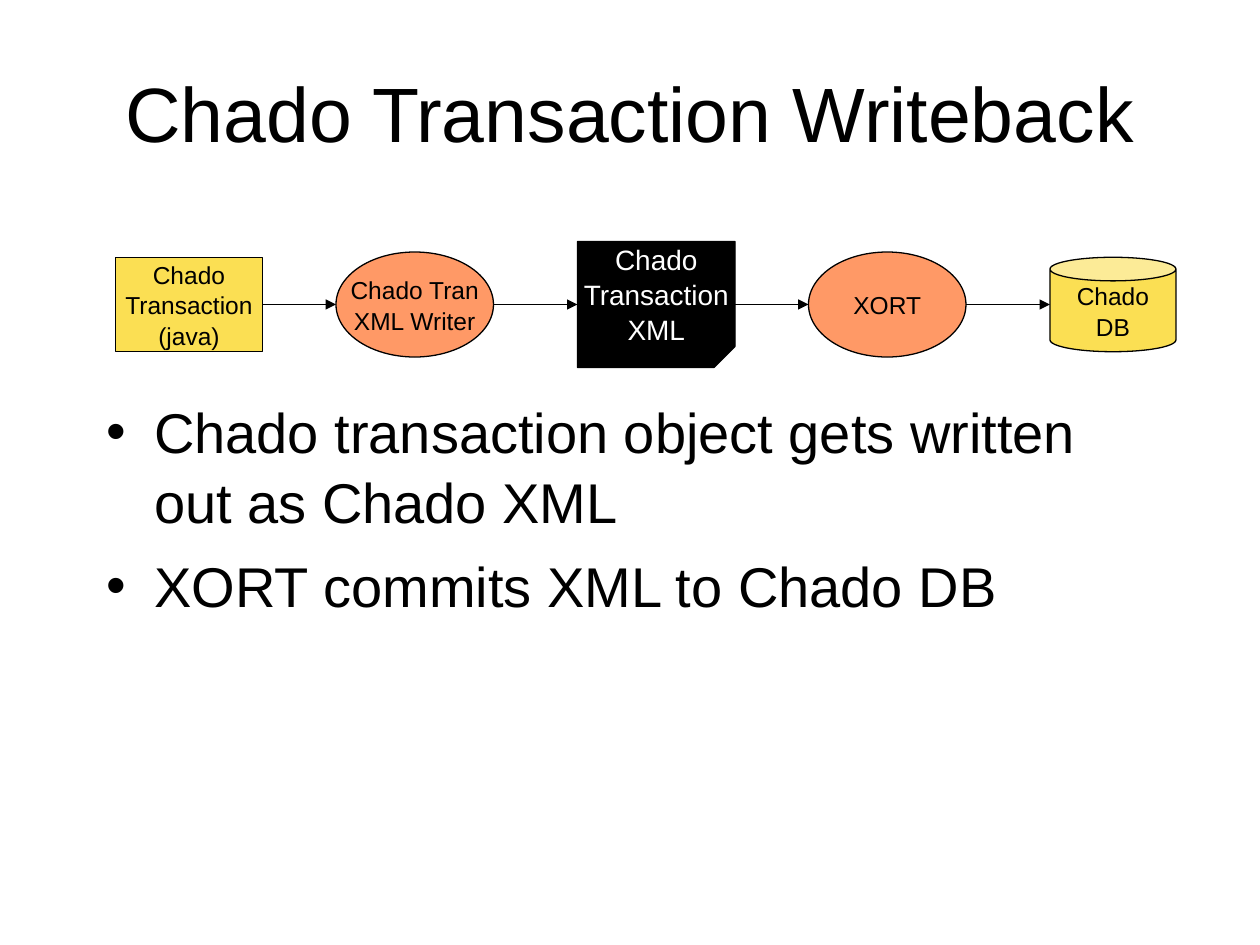
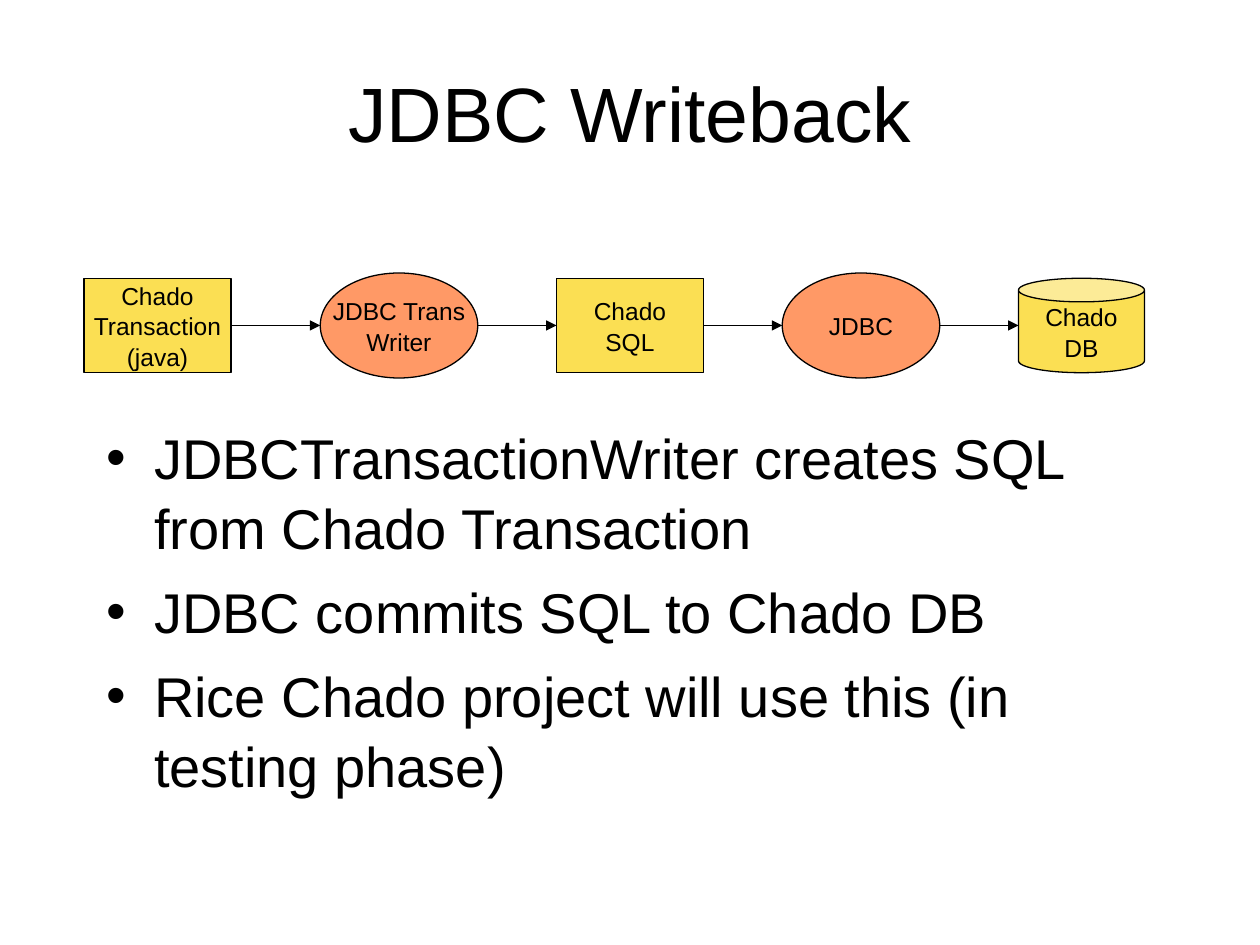
"""Build two slides that show how Chado transactions are written back to the database."""
from lxml import etree
from pptx import Presentation
from pptx import util as u
from pptx.dml.color import RGBColor
from pptx.enum import shapes, text
from pptx.oxml.ns import qn

FONT = "Arial"
BLACK, WHITE, YELLOW, ORANGE = "000000", "FFFFFF", "FBDF53", "FF9966"
LINE_SPACING = 1.04

prs = Presentation()
prs.slide_width, prs.slide_height = u.Inches(10), u.Inches(7.5)
UNIT = prs.slide_width // 240


def color(value):
    return RGBColor.from_string(value)


def format_text(tf, size, ink, align):
    for p in tf.paragraphs:
        p.alignment = align
        p.line_spacing = LINE_SPACING
        for r in p.runs:
            r.font.name, r.font.size = FONT, u.Pt(size)
            r.font.color.rgb = color(ink)


# Each kind: preset shape, width and height in grid units, fill, text colour, text size
KINDS = {
    "data": (shapes.MSO_SHAPE.RECTANGLE, 28, 18, YELLOW, BLACK, 14),
    "process": (shapes.MSO_SHAPE.OVAL, 30, 20, ORANGE, BLACK, 14),
    "document": (shapes.MSO_SHAPE.FOLDED_CORNER, 30, 24, BLACK, WHITE, 16),
    "database": (shapes.MSO_SHAPE.CAN, 24, 18, YELLOW, BLACK, 14),
}

# Each slide: title, flow axis row, bullet top row, flow steps (kind, column, label), bullets
SLIDES = [
    ("Chado Transaction Writeback", 58, 74,
     [("data", 22, "Chado\nTransaction\n(java)"),
      ("process", 64, "Chado Tran\nXML Writer"),
      ("document", 110, "Chado\nTransaction\nXML"),
      ("process", 154, "XORT"),
      ("database", 200, "Chado\nDB")],
     ["Chado transaction object gets written out as Chado XML",
      "XORT commits XML to Chado DB"]),
    ("JDBC Writeback", 62, 79,
     [("data", 16, "Chado\nTransaction\n(java)"),
      ("process", 61, "JDBC Trans\nWriter"),
      ("data", 106, "Chado\nSQL"),
      ("process", 149, "JDBC"),
      ("database", 194, "Chado\nDB")],
     ["JDBCTransactionWriter creates SQL from Chado Transaction",
      "JDBC commits SQL to Chado DB",
      "Rice Chado project will use this (in testing phase)"]),
]

for title, axis, bullet_top, steps, bullets in SLIDES:
    s = prs.slides.add_slide(prs.slide_layouts[5])
    sp = s.shapes.title
    sp.left, sp.top, sp.width, sp.height = (n * UNIT for n in (18, 6, 204, 30))
    tf = sp.text_frame
    tf.text = title
    tf.auto_size = text.MSO_AUTO_SIZE.NONE
    tf.vertical_anchor = text.MSO_ANCHOR.MIDDLE
    format_text(tf, 44, BLACK, text.PP_ALIGN.CENTER)

    sp = s.shapes.add_textbox(18 * UNIT, bullet_top * UNIT, 204 * UNIT, (172 - bullet_top) * UNIT)
    tf = sp.text_frame
    tf.word_wrap = True
    tf.text = "\n".join(bullets)
    for i, p in enumerate(tf.paragraphs):
        pPr = p._p.get_or_add_pPr()
        pPr.set("marL", str(9 * UNIT))
        pPr.set("indent", str(-9 * UNIT))
        etree.SubElement(pPr, qn("a:buFont"), typeface=FONT)
        etree.SubElement(pPr, qn("a:buChar"), char="•")
        p.space_before = u.Pt(8 if i else 0)
    format_text(tf, 32, BLACK, text.PP_ALIGN.LEFT)

    previous_right = None
    for kind, column, label in steps:
        preset, width, height, fill, ink, size = KINDS[kind]
        sp = s.shapes.add_shape(preset, column * UNIT, (axis - height // 2) * UNIT,
                                width * UNIT, height * UNIT)
        sp.shadow.inherit = False
        sp.fill.solid()
        sp.fill.fore_color.rgb = color(fill)
        sp.line.color.rgb = color(BLACK)
        sp.line.width = u.Pt(0.75)
        tf = sp.text_frame
        tf.word_wrap = False
        tf.vertical_anchor = text.MSO_ANCHOR.MIDDLE
        tf.text = label
        format_text(tf, size, ink, text.PP_ALIGN.CENTER)

        if previous_right is not None:
            arrow = s.shapes.add_connector(shapes.MSO_CONNECTOR.STRAIGHT, previous_right,
                                           axis * UNIT, sp.left, axis * UNIT)
            arrow.line.color.rgb = color(BLACK)
            arrow.line.width = u.Pt(0.75)
            etree.SubElement(arrow.line._get_or_add_ln(), qn("a:tailEnd"), type="triangle")
            etree.SubElement(arrow._element.spPr, qn("a:effectLst"))
        previous_right = sp.left + sp.width

prs.save("out.pptx")
